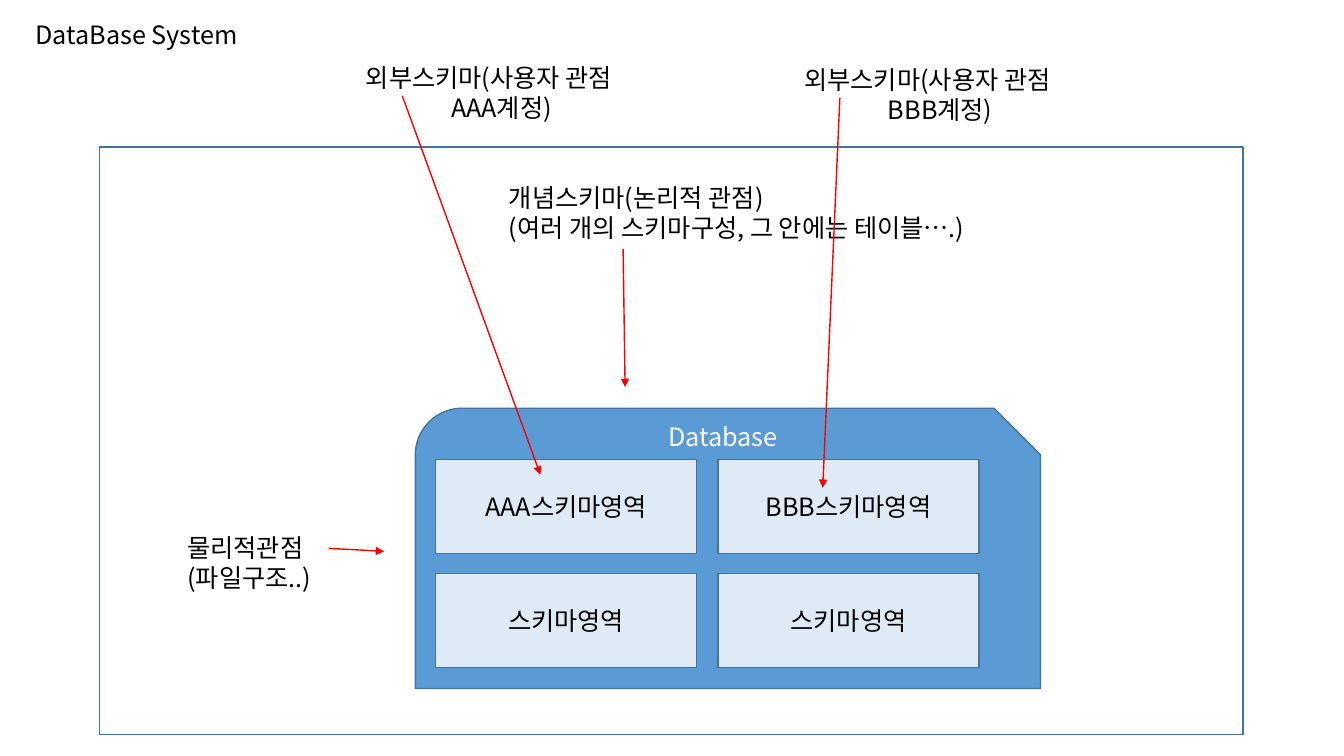
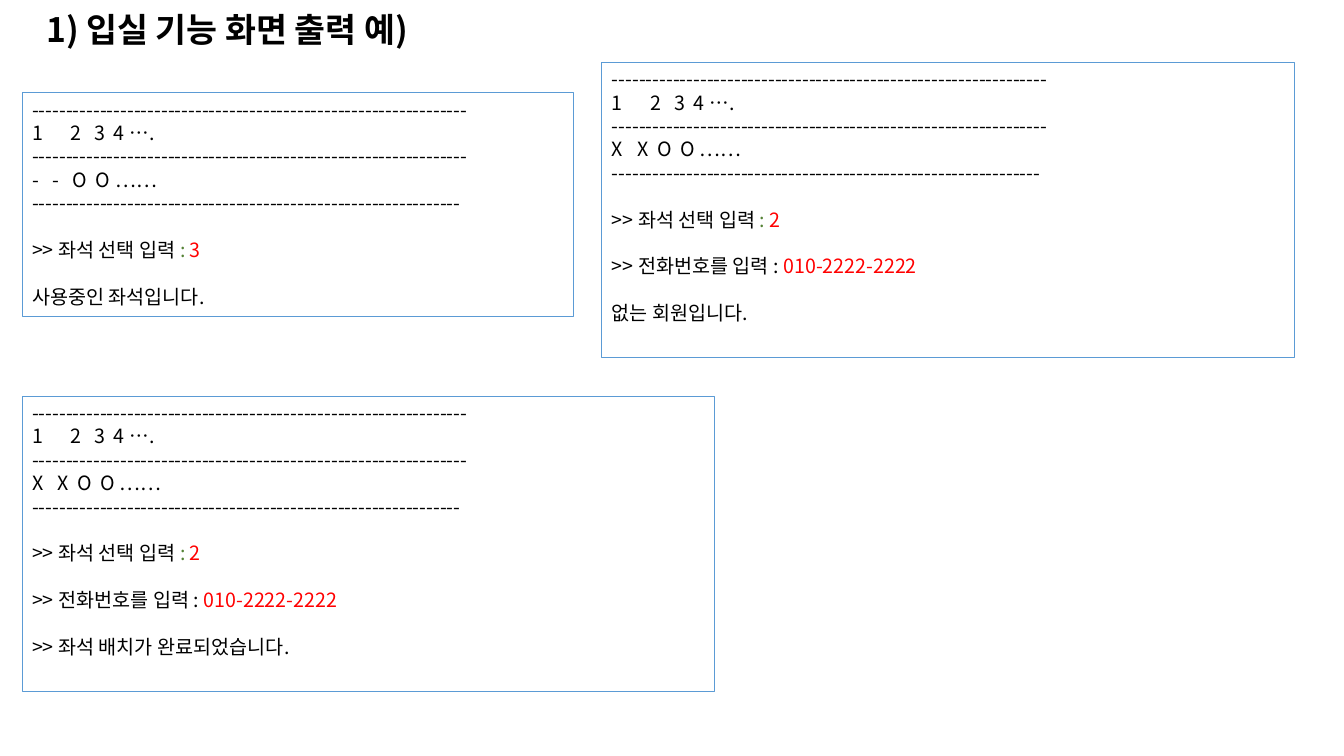
from pptx import Presentation
from pptx.dml.color import RGBColor
from pptx.enum.shapes import MSO_CONNECTOR, MSO_SHAPE
from pptx.enum.text import MSO_ANCHOR, MSO_AUTO_SIZE, PP_ALIGN
from pptx.oxml.ns import qn
from pptx.util import Inches, Pt
from lxml import etree

FONT = "Noto Sans CJK KR"
COLORS = {"text": "000000", "white": "FFFFFF", "red": "FF0000", "green": "548235",
          "blue": "5B9BD5", "pale": "DEEBF7", "edge": "43739E"}
LINE_RATIO = 1.195  # line pitch as a share of the text size

# Content: database system
DB_TITLE = "DataBase System"
SCHEMAS = ["AAA스키마영역", "BBB스키마영역", "스키마영역", "스키마영역"]
LABELS = [  # box, lines, alignment of the second line
    ((1.76, 5.23, 1.46, 0.71), ["물리적관점", "(파일구조..)"], PP_ALIGN.LEFT),
    ((4.95, 1.76, 5.14, 0.71),
     ["개념스키마(논리적 관점)", "(여러 개의 스키마구성, 그 안에는 테이블….)"], PP_ALIGN.LEFT),
    ((3.53, 0.57, 2.89, 0.71), ["외부스키마(사용자 관점", "AAA계정)"], PP_ALIGN.CENTER),
    ((7.88, 0.59, 2.89, 0.71), ["외부스키마(사용자 관점", "BBB계정)"], PP_ALIGN.CENTER),
]
ARROWS = [(3.26, 5.44, 3.81, 5.47), (6.18, 2.47, 6.2, 3.84),
          (3.99, 0.95, 5.36, 4.71), (8.33, 0.97, 8.16, 4.84)]

# Content: seat screens
SEAT_TITLE = "1) 입실 기능 화면 출력 예)"
RULE = "-" * 64
NUMBERS = ("1\t2\t3\t4\t….", (0.38, 0.62, 0.81, 0.97))
FREE = ("-\t-\tO\tO\t……", (0.2, 0.4, 0.63, 0.83))
TAKEN = ("X\tX\tO\tO\t……", (0.25, 0.45, 0.68, 0.87))
PHONE = [(">> 전화번호를 입력 : ", "text"), ("010-2222-2222", "red")]


def seat_prompt(seat):
    return [(">> 좌석 선택 입력 ", "text"), (": ", "green"), (seat, "red")]


SCREENS = [  # box, seat row, answers
    ((0.22, 0.92, 5.47, 2.22), FREE,
     [seat_prompt("3"), [("사용중인 좌석입니다.", "text")]]),
    ((5.97, 0.62, 6.87, 2.93), TAKEN,
     [seat_prompt("2"), PHONE, [("없는 회원입니다.", "text")]]),
    ((0.22, 3.93, 6.87, 2.93), TAKEN,
     [seat_prompt("2"), PHONE, [(">> 좌석 배치가 완료되었습니다.", "text")]]),
]


# Shared helpers
def rgb(name):
    return RGBColor.from_string(COLORS[name])


def add_runs(p, runs, size, bold=False):
    p.line_spacing = Pt(round(size * LINE_RATIO, 1))
    for text, color in runs:
        r = p.add_run()
        r.text = text
        r.font.size, r.font.bold, r.font.name = Pt(size), bold, FONT
        r.font.color.rgb = rgb(color)
        ea = etree.SubElement(r.font._element, qn("a:ea"))
        ea.set("typeface", FONT)


def setup_text(shape, anchor=MSO_ANCHOR.TOP):
    tf = shape.text_frame
    tf.word_wrap = True
    tf.auto_size = MSO_AUTO_SIZE.NONE
    tf.vertical_anchor = anchor
    return tf


def next_par(tf, align=PP_ALIGN.LEFT):
    p = tf.paragraphs[0]
    if p.runs:
        p = tf.add_paragraph()
    p.alignment = align
    return p


def add_slide(title, box, size, bold=False):
    s = prs.slides.add_slide(prs.slide_layouts[5])
    sp = s.shapes.title
    sp.left, sp.top, sp.width, sp.height = map(Inches, box)
    add_runs(next_par(setup_text(sp)), [(title, "text")], size, bold)
    return s


def add_box(s, kind, box, fill, line, width):
    sp = s.shapes.add_shape(kind, *map(Inches, box))
    sp.shadow.inherit = False
    if fill:
        sp.fill.solid()
        sp.fill.fore_color.rgb = rgb(fill)
    else:
        sp.fill.background()
    sp.line.color.rgb = rgb(line)
    sp.line.width = Pt(width)
    return sp


def add_arrow(s, ends):
    c = s.shapes.add_connector(MSO_CONNECTOR.STRAIGHT, *map(Inches, ends))
    c.line.color.rgb = rgb("red")
    c.line.width = Pt(1)
    etree.SubElement(c.line._get_or_add_ln(), qn("a:tailEnd")).set("type", "triangle")
    etree.SubElement(c._element.spPr, qn("a:effectLst"))


def add_tabs(p, stops):
    tabs = etree.SubElement(p._p.get_or_add_pPr(), qn("a:tabLst"))
    for stop in stops:
        tab = etree.SubElement(tabs, qn("a:tab"))
        tab.set("pos", str(Inches(stop)))
        tab.set("algn", "l")


prs = Presentation()
prs.slide_width, prs.slide_height = Inches(13.33), Inches(7.5)

# Slide 1: database with its schema areas
s = add_slide(DB_TITLE, (0.25, 0.14, 2.4, 0.4), 18)
db = add_box(s, MSO_SHAPE.SNIP_ROUND_RECTANGLE, (4.12, 4.05, 6.2, 2.78), "blue", "edge", 1)
tf = setup_text(db)
tf.margin_top = 0
add_runs(next_par(tf, PP_ALIGN.CENTER), [("Database", "white")], 18)

for i, name in enumerate(SCHEMAS):
    row, col = divmod(i, 2)
    area = (4.32 + col * 2.8, 4.56 + row * 1.13, 2.59, 0.93)
    sp = add_box(s, MSO_SHAPE.RECTANGLE, area, "pale", "edge", 1)
    tf = setup_text(sp, MSO_ANCHOR.MIDDLE)
    add_runs(next_par(tf, PP_ALIGN.CENTER), [(name, "text")], 18)

add_box(s, MSO_SHAPE.RECTANGLE, (0.99, 1.46, 11.34, 5.83), None, "edge", 1)
for box, (first, second), align in LABELS:
    tf = setup_text(s.shapes.add_textbox(*map(Inches, box)))
    add_runs(next_par(tf), [(first, "text")], 18)
    add_runs(next_par(tf, align), [(second, "text")], 18)
for ends in ARROWS:
    add_arrow(s, ends)

# Slide 2: seat screens
s = add_slide(SEAT_TITLE, (0.36, 0.04, 4.5, 0.5), 24, True)
for box, seats, answers in SCREENS:
    tf = setup_text(add_box(s, MSO_SHAPE.RECTANGLE, box, None, "blue", 0.75))
    for text, stops in [(RULE, ()), NUMBERS, (RULE, ()), seats, (RULE[1:], ())]:
        p = next_par(tf)
        add_runs(p, [(text, "text")], 14)
        if stops:
            add_tabs(p, stops)
    for runs in answers:
        p = next_par(tf)
        p.space_before = Pt(16.7)
        add_runs(p, runs, 14)

prs.save("out.pptx")
